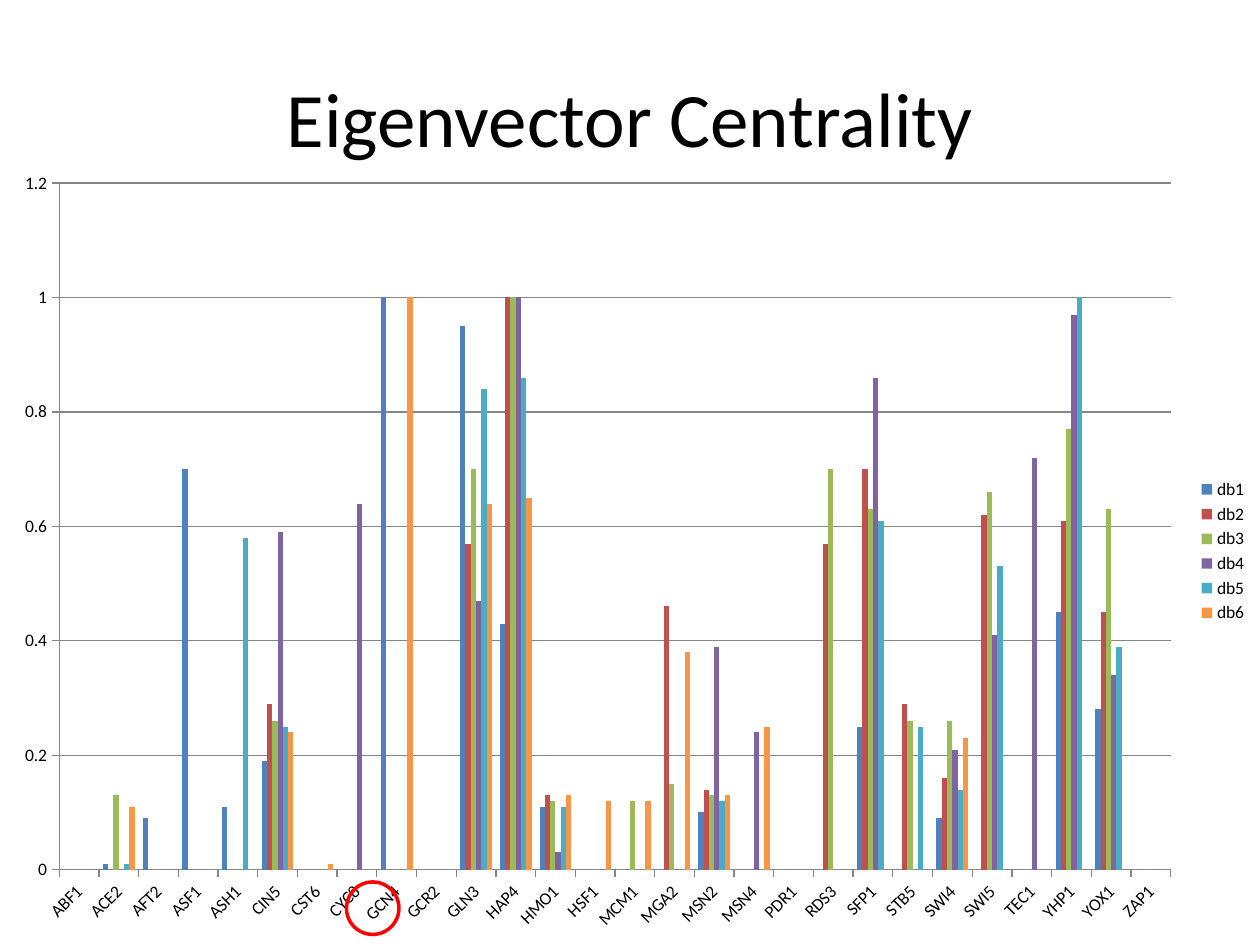
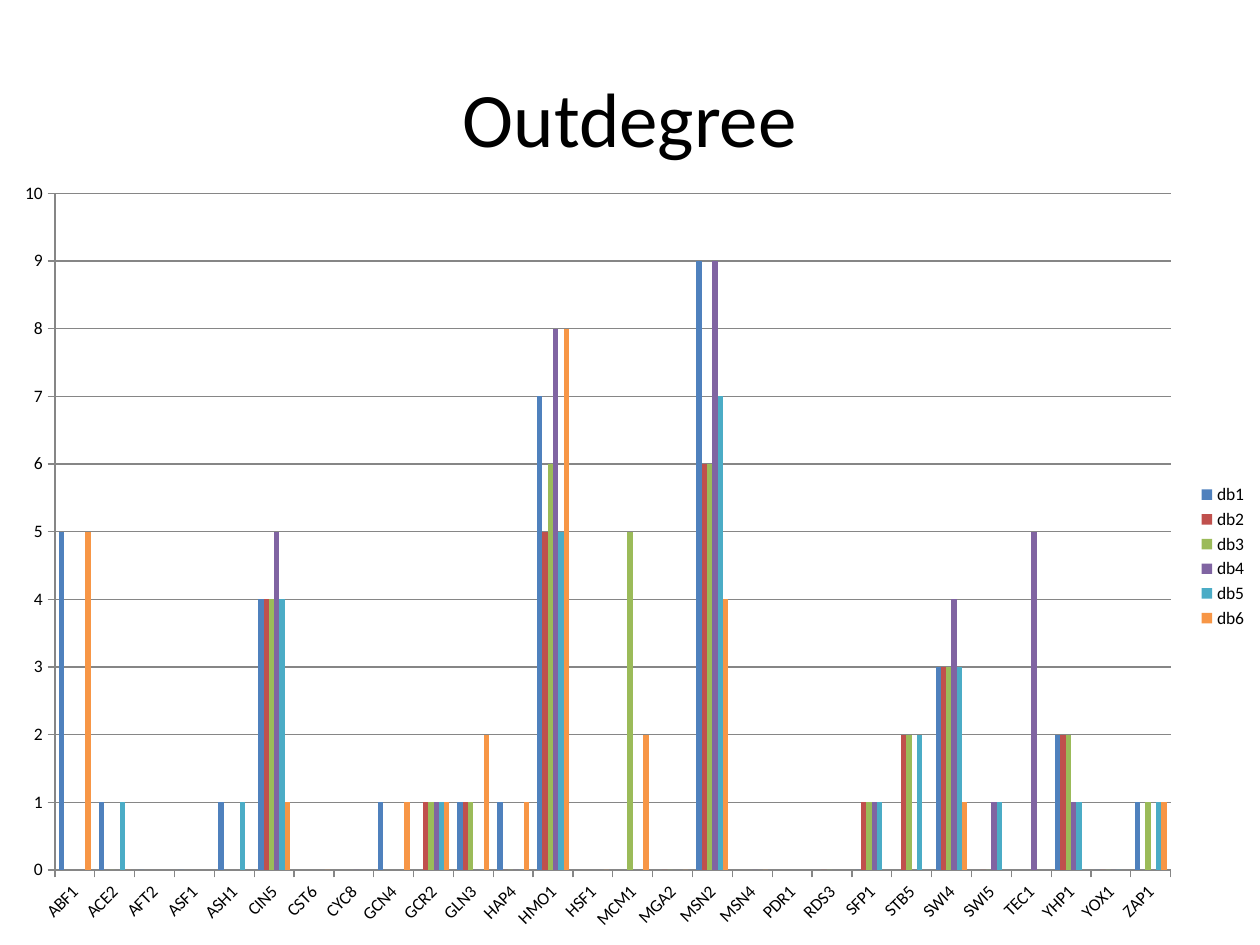
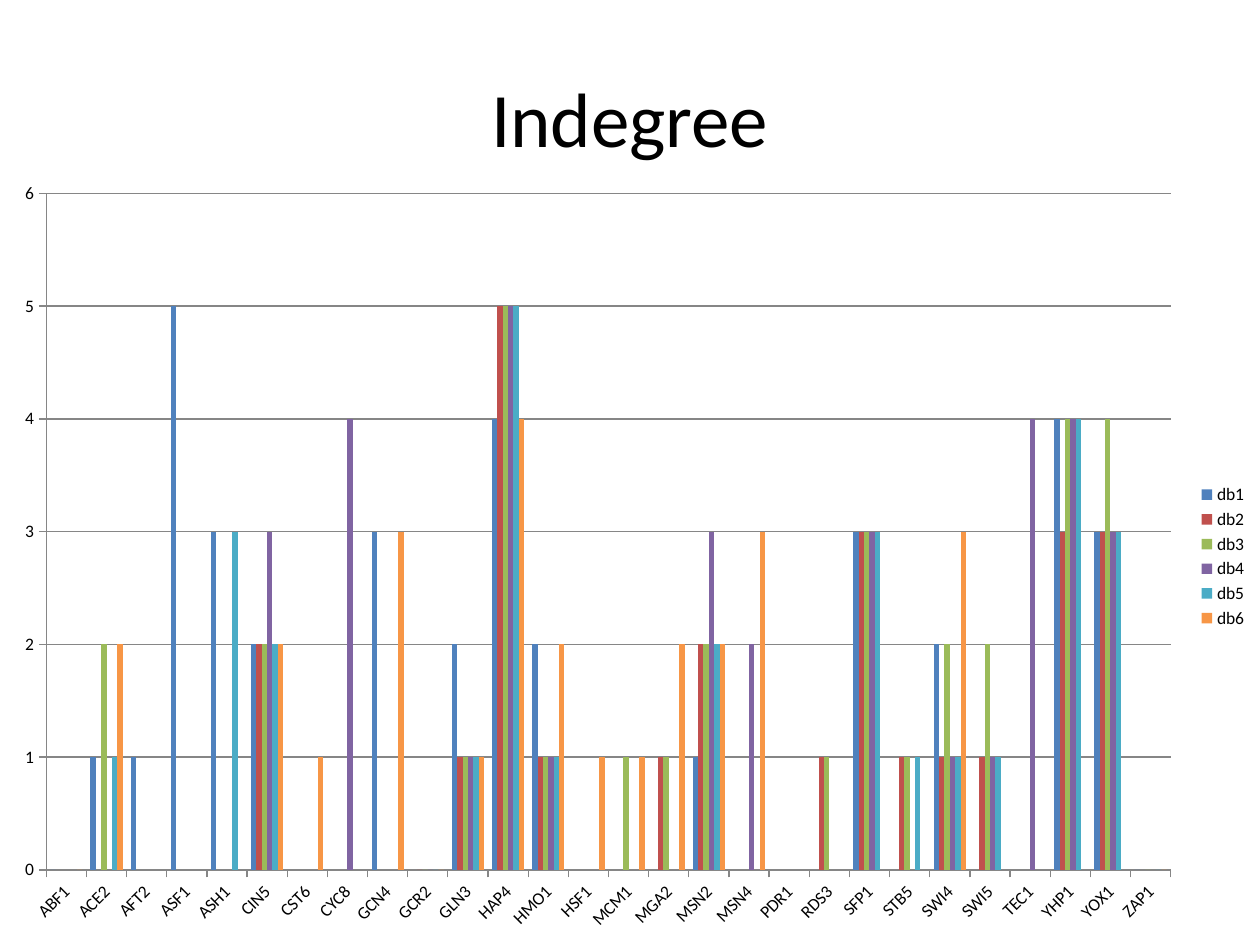
"""Build three slides that chart gene network measures for six databases."""
import pptx
import pptx.chart.data
import pptx.dml.color
import pptx.enum.chart
import pptx.enum.shapes
import pptx.enum.text
import pptx.util

COLS, ROWS = 120, 90
FONT = "Calibri"
HUES = {
    "text": "000000", "grid": "868686", "ring": "FF0000",
    "db1": "4F81BD", "db2": "C0504D", "db3": "9BBB59",
    "db4": "8064A2", "db5": "4BACC6", "db6": "F79646",
}
GENES = (
    "ABF1 ACE2 AFT2 ASF1 ASH1 CIN5 CST6 CYC8 GCN4 GCR2 GLN3 HAP4 HMO1 HSF1 "
    "MCM1 MGA2 MSN2 MSN4 PDR1 RDS3 SFP1 STB5 SWI4 SWI5 TEC1 YHP1 YOX1 ZAP1"
).split()
NA = None

EIGEN = {
    "db1": [0, 0.01, 0.09, 0.7, 0.11, 0.19, NA, NA, 1, NA, 0.95, 0.43, 0.11, NA,
            NA, NA, 0.1, NA, NA, NA, 0.25, NA, 0.09, NA, NA, 0.45, 0.28, 0],
    "db2": [NA, NA, NA, NA, NA, 0.29, NA, NA, NA, 0, 0.57, 1, 0.13, NA,
            NA, 0.46, 0.14, NA, NA, 0.57, 0.7, 0.29, 0.16, 0.62, NA, 0.61, 0.45, NA],
    "db3": [NA, 0.13, NA, NA, NA, 0.26, NA, NA, NA, 0, 0.7, 1, 0.12, NA,
            0.12, 0.15, 0.13, NA, NA, 0.7, 0.63, 0.26, 0.26, 0.66, NA, 0.77, 0.63, 0],
    "db4": [NA, NA, NA, NA, NA, 0.59, NA, 0.64, NA, 0, 0.47, 1, 0.03, NA,
            NA, NA, 0.39, 0.24, NA, NA, 0.86, NA, 0.21, 0.41, 0.72, 0.97, 0.34, NA],
    "db5": [NA, 0.01, NA, NA, 0.58, 0.25, NA, NA, NA, 0, 0.84, 0.86, 0.11, NA,
            NA, NA, 0.12, NA, NA, NA, 0.61, 0.25, 0.14, 0.53, NA, 1, 0.39, 0],
    "db6": [0, 0.11, NA, NA, NA, 0.24, 0.01, NA, 1, 0, 0.64, 0.65, 0.13, 0.12,
            0.12, 0.38, 0.13, 0.25, NA, NA, NA, NA, 0.23, NA, NA, NA, NA, 0],
}
OUT = {
    "db1": [5, 1, 0, 0, 1, 4, NA, NA, 1, NA, 1, 1, 7, NA,
            NA, NA, 9, NA, NA, NA, 0, NA, 3, NA, NA, 2, 0, 1],
    "db2": [NA, NA, NA, NA, NA, 4, NA, NA, NA, 1, 1, 0, 5, NA,
            NA, 0, 6, NA, NA, 0, 1, 2, 3, 0, NA, 2, 0, NA],
    "db3": [NA, 0, NA, NA, NA, 4, NA, NA, NA, 1, 1, 0, 6, NA,
            5, 0, 6, NA, NA, 0, 1, 2, 3, 0, NA, 2, 0, 1],
    "db4": [NA, NA, NA, NA, NA, 5, NA, 0, NA, 1, 0, 0, 8, NA,
            NA, NA, 9, 0, NA, NA, 1, NA, 4, 1, 5, 1, 0, NA],
    "db5": [NA, 1, NA, NA, 1, 4, NA, NA, NA, 1, 0, 0, 5, NA,
            NA, NA, 7, NA, NA, NA, 1, 2, 3, 1, NA, 1, 0, 1],
    "db6": [5, 0, NA, NA, NA, 1, 0, NA, 1, 1, 2, 1, 8, 0,
            2, 0, 4, 0, NA, NA, NA, NA, 1, NA, NA, NA, NA, 1],
}
IN = {
    "db1": [0, 1, 1, 5, 3, 2, NA, NA, 3, NA, 2, 4, 2, NA,
            NA, NA, 1, NA, NA, NA, 3, NA, 2, NA, NA, 4, 3, 0],
    "db2": [NA, NA, NA, NA, NA, 2, NA, NA, NA, 0, 1, 5, 1, NA,
            NA, 1, 2, NA, NA, 1, 3, 1, 1, 1, NA, 3, 3, NA],
    "db3": [NA, 2, NA, NA, NA, 2, NA, NA, NA, 0, 1, 5, 1, NA,
            1, 1, 2, NA, NA, 1, 3, 1, 2, 2, NA, 4, 4, 0],
    "db4": [NA, NA, NA, NA, NA, 3, NA, 4, NA, 0, 1, 5, 1, NA,
            NA, NA, 3, 2, NA, NA, 3, NA, 1, 1, 4, 4, 3, NA],
    "db5": [NA, 1, NA, NA, 3, 2, NA, NA, NA, 0, 1, 5, 1, NA,
            NA, NA, 2, NA, NA, NA, 3, 1, 1, 1, NA, 4, 3, 0],
    "db6": [0, 2, NA, NA, NA, 2, 1, NA, 3, 0, 1, 4, 2, 1,
            1, 2, 2, 3, NA, NA, NA, NA, 3, NA, NA, NA, NA, 0],
}


class Deck:
    """Hold the shared style and the current slide."""

    def __init__(self):
        """Open an empty deck of 10 by 7.5 inches."""
        self.show = pptx.Presentation()
        self.show.slide_width = pptx.util.Inches(10)
        self.show.slide_height = pptx.util.Inches(7.5)
        self.slide = None

    def hue(self, name):
        """Look up a colour by name."""
        return pptx.dml.color.RGBColor.from_string(HUES[name])

    def place(self, col, row, wide, high):
        """Turn grid cells into lengths."""
        unit_x = self.show.slide_width / COLS
        unit_y = self.show.slide_height / ROWS
        return [round(n) for n in (col * unit_x, row * unit_y, wide * unit_x, high * unit_y)]

    def style(self, font, size):
        """Give a font the deck's face and text colour."""
        font.name = FONT
        font.size = pptx.util.Pt(size)
        font.color.rgb = self.hue("text")

    def stroke(self, line, name, width):
        """Colour a line and set its width."""
        line.color.rgb = self.hue(name)
        line.width = pptx.util.Pt(width)

    def page(self, title):
        """Add a slide with its centred title."""
        self.slide = self.show.slides.add_slide(self.show.slide_layouts[6])
        frame = self.slide.shapes.add_textbox(*self.place(6, 3.6, 108, 15)).text_frame
        frame.word_wrap = True
        frame.vertical_anchor = pptx.enum.text.MSO_ANCHOR.MIDDLE
        para = frame.paragraphs[0]
        para.alignment = pptx.enum.text.PP_ALIGN.CENTER
        run = para.add_run()
        run.text = title
        self.style(run.font, 44)

    def chart(self, top, table, peak, step):
        """Add a column chart from a top row down to the slide's foot."""
        data = pptx.chart.data.CategoryChartData()
        data.categories = GENES
        for name, vals in table.items():
            data.add_series(name, vals)
        kind = pptx.enum.chart.XL_CHART_TYPE.COLUMN_CLUSTERED
        spot = self.place(0, top, COLS, ROWS - top)
        chart = self.slide.shapes.add_chart(kind, *spot, data).chart
        chart.has_title = False
        self.style(chart.font, 10)
        chart.has_legend = True
        chart.legend.position = pptx.enum.chart.XL_LEGEND_POSITION.RIGHT
        chart.legend.include_in_layout = False
        plot = chart.plots[0]
        plot.gap_width = 150
        plot.vary_by_categories = False
        for bars in plot.series:
            bars.format.fill.solid()
            bars.format.fill.fore_color.rgb = self.hue(bars.name)
            bars.invert_if_negative = False
        for axis in (chart.category_axis, chart.value_axis):
            axis.major_tick_mark = pptx.enum.chart.XL_TICK_MARK.OUTSIDE
            axis.minor_tick_mark = pptx.enum.chart.XL_TICK_MARK.NONE
            self.stroke(axis.format.line, "grid", 0.75)
        axis = chart.value_axis
        axis.minimum_scale = 0
        axis.maximum_scale = peak
        axis.major_unit = step
        axis.has_major_gridlines = True
        self.stroke(axis.major_gridlines.format.line, "grid", 0.75)

    def ring(self, col, row, size):
        """Circle a spot with an unfilled outline."""
        oval = pptx.enum.shapes.MSO_SHAPE.OVAL
        shape = self.slide.shapes.add_shape(oval, *self.place(col, row, size, size))
        shape.shadow.inherit = False
        shape.fill.background()
        self.stroke(shape.line, "ring", 2)


def main():
    """Build and save the deck."""
    deck = Deck()
    deck.page("Eigenvector Centrality")
    deck.chart(15, EIGEN, 1.2, 0.2)
    deck.ring(33, 84, 5)
    deck.page("Outdegree")
    deck.chart(16, OUT, 10, 1)
    deck.page("Indegree")
    deck.chart(16, IN, 6, 1)
    deck.show.save("out.pptx")


if __name__ == "__main__":
    main()
